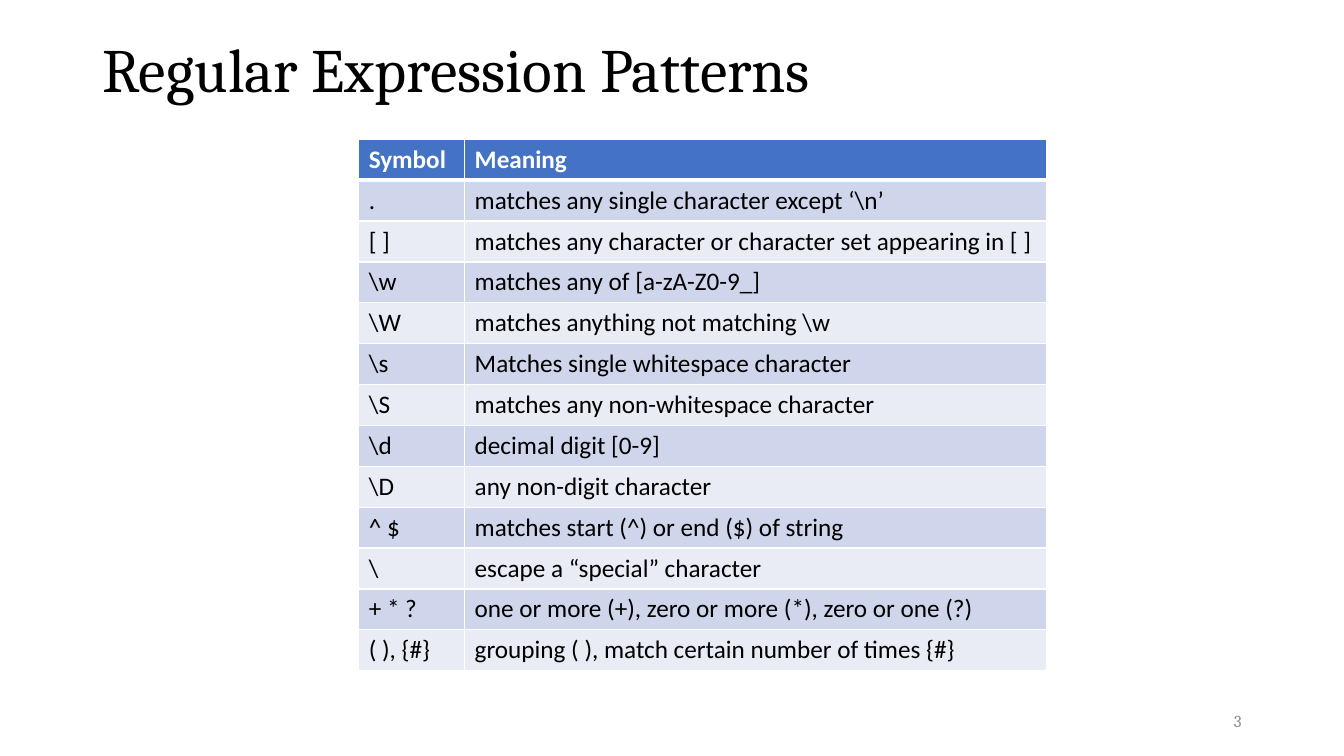
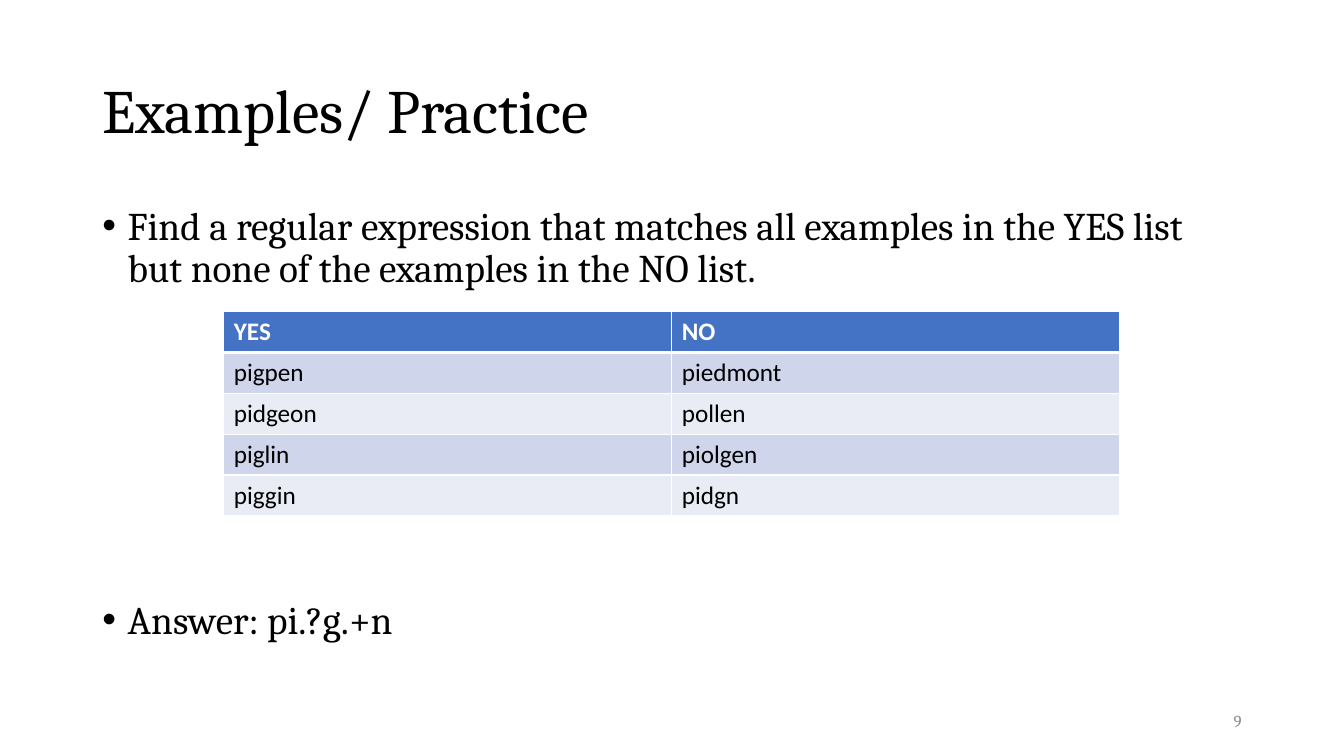
from lxml import etree
from pptx import Presentation
from pptx.dml.color import RGBColor
from pptx.enum.text import MSO_ANCHOR, PP_ALIGN
from pptx.oxml.ns import qn
from pptx.util import Cm, Pt

MIDDLE, TOP = MSO_ANCHOR.MIDDLE, MSO_ANCHOR.TOP
LEFT, RIGHT = PP_ALIGN.LEFT, PP_ALIGN.RIGHT

# Content
SYMBOLS = [
    ("Symbol", "Meaning"),
    (".", "matches any single character except ‘\\n’"),
    ("[ ]", "matches any character or character set appearing in [ ]"),
    ("\\w", "matches any of [a-zA-Z0-9_]"),
    ("\\W", "matches anything not matching \\w"),
    ("\\s", "Matches single whitespace character"),
    ("\\S", "matches any non-whitespace character"),
    ("\\d", "decimal digit [0-9]"),
    ("\\D", "any non-digit character"),
    ("^ $", "matches start (^) or end ($) of string"),
    ("\\", "escape a “special” character"),
    ("+ * ?", "one or more (+), zero or more (*), zero or one (?)"),
    ("( ), {#}", "grouping ( ), match certain number of times {#}"),
]
WORDS = [
    ("YES", "NO"),
    ("pigpen", "piedmont"),
    ("pidgeon", "pollen"),
    ("piglin", "piolgen"),
    ("piggin", "pidgn"),
]
TASK = ("Find a regular expression that matches all examples in the YES list "
        "but none of the examples in the NO list.")
ANSWER = "Answer: pi.?g.+n"

# Positions and column widths in cm
SLIDES = [
    {"title": "Regular Expression Patterns", "top": 0, "number": "3",
     "rows": SYMBOLS, "at": (9.04, 3.51), "cols": (2.67, 14.66)},
    {"title": "Examples/ Practice", "top": 1.01, "number": "9",
     "rows": WORDS, "at": (5.64, 7.85), "cols": (11.29, 11.29),
     "points": [(TASK, 10), (ANSWER, 221)]},
]

# Shared style
SERIF, SANS = "Cambria", "Calibri"
BLACK, WHITE, GREY = "000000", "FFFFFF", "8C8C8C"
HEAD, BANDS = "4472C4", ("E9EBF5", "CFD5EA")
THIN, THICK = 0.96, 3
MARGIN, WIDTH, ROW = 2.33, 29.21, 1.03


def color(code):
    return RGBColor.from_string(code)


def write(para, text, size=18, font=SERIF, ink=BLACK, bold=False,
          align=LEFT, line=None, before=0):
    para.alignment = align
    para.space_before = Pt(before)
    if line:
        para.line_spacing = line
    run = para.add_run()
    run.text = text
    run.font.size, run.font.name, run.font.bold = Pt(size), font, bold
    run.font.color.rgb = color(ink)


def add_box(slide, left, top, width, height, anchor=MIDDLE):
    box = slide.shapes.add_textbox(Cm(left), Cm(top), Cm(width), Cm(height))
    frame = box.text_frame
    frame.word_wrap = True
    frame.vertical_anchor = anchor
    return frame


def add_bullet(para):
    props = para._p.get_or_add_pPr()
    indent = Cm(0.64)
    props.set("marL", str(indent))
    props.set("indent", str(-indent))
    etree.SubElement(props, qn("a:buFont")).set("typeface", "Arial")
    etree.SubElement(props, qn("a:buChar")).set("char", "•")


def add_border(cell, side, width):
    props = cell._tc.get_or_add_tcPr()
    edge = etree.SubElement(props, qn("a:ln" + side), w=str(Pt(width)))
    fill = etree.SubElement(edge, qn("a:solidFill"))
    etree.SubElement(fill, qn("a:srgbClr"), val=WHITE)


def add_grid(slide, rows, at, cols):
    left, top = at
    table = slide.shapes.add_table(
        len(rows), len(cols), Cm(left), Cm(top),
        Cm(sum(cols)), Cm(ROW * len(rows))).table
    table.horz_banding = False
    for col, width in zip(table.columns, cols):
        col.width = Cm(width)
    for r, texts in enumerate(rows):
        table.rows[r].height = Cm(ROW)
        head = r == 0
        edges = {"L": THIN, "R": THIN,
                 "T": THICK if r == 1 else THIN,
                 "B": THICK if head else THIN}
        for c, text in enumerate(texts):
            cell = table.cell(r, c)
            for side, width in edges.items():
                add_border(cell, side, width)
            cell.fill.solid()
            cell.fill.fore_color.rgb = color(HEAD if head else BANDS[r % 2])
            write(cell.text_frame.paragraphs[0], text, font=SANS,
                  ink=WHITE if head else BLACK, bold=head)


def add_points(slide, points):
    frame = add_box(slide, MARGIN, 5.07, WIDTH, 12.09, anchor=TOP)
    for i, (text, before) in enumerate(points):
        para = frame.add_paragraph() if i else frame.paragraphs[0]
        write(para, text, size=28, line=0.9, before=before)
        add_bullet(para)


def add_slide(deck, data):
    slide = deck.slides.add_slide(deck.slide_layouts[6])
    # Title
    title = add_box(slide, MARGIN, data["top"], WIDTH, 3.68)
    write(title.paragraphs[0], data["title"], size=44, line=0.9)
    # Body
    if "points" in data:
        add_points(slide, data["points"])
    add_grid(slide, data["rows"], data["at"], data["cols"])
    # Slide number
    number = add_box(slide, 23.92, 17.65, 7.62, 1.01)
    write(number.paragraphs[0], data["number"], size=12, ink=GREY,
          align=RIGHT)


def main():
    deck = Presentation()
    deck.slide_width, deck.slide_height = Cm(33.87), Cm(19.05)
    for data in SLIDES:
        add_slide(deck, data)
    deck.save("out.pptx")


if __name__ == "__main__":
    main()
